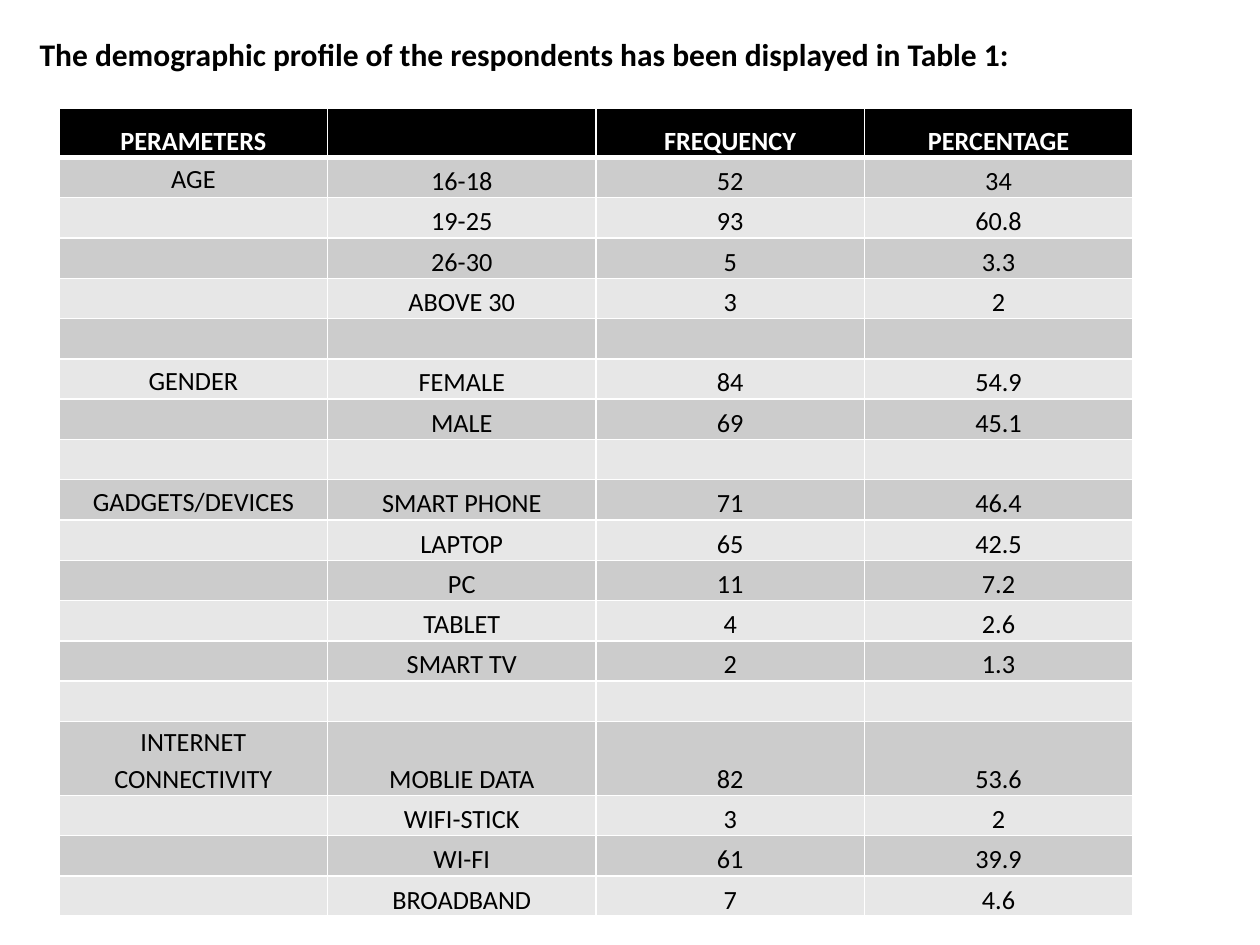
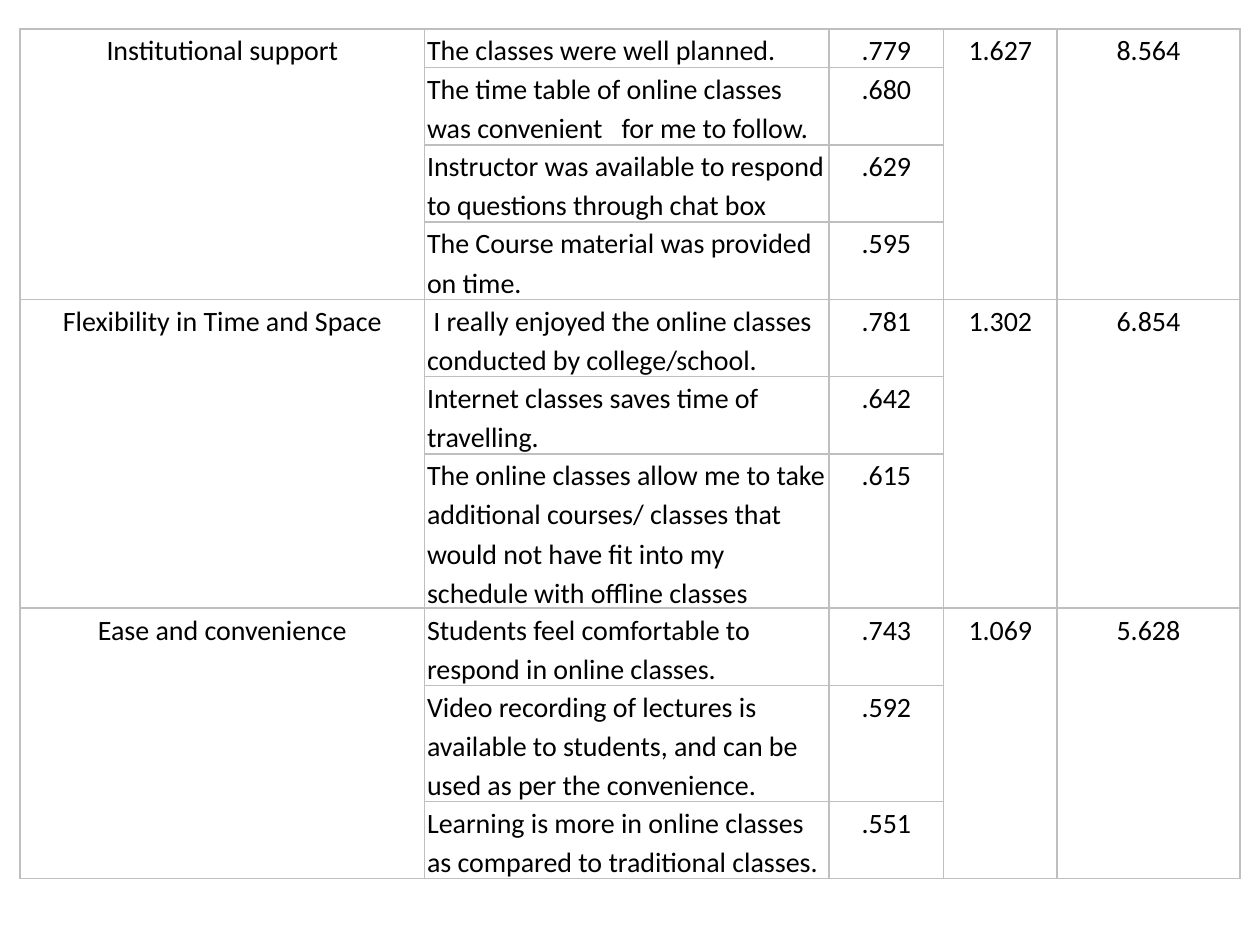
from lxml import etree
from pptx import Presentation
from pptx.dml.color import RGBColor
from pptx.enum import text
from pptx.oxml import ns
from pptx.util import Inches, Pt

FONT = "Calibri"
BLACK, WHITE = "000000", "FFFFFF"
BAND_DARK, BAND_LIGHT, GRID_GREY = "CCCCCC", "E7E7E7", "BFBFBF"
CENTER, LEFT = text.PP_ALIGN.CENTER, text.PP_ALIGN.LEFT
TOP, MIDDLE, BOTTOM = (text.MSO_ANCHOR.TOP, text.MSO_ANCHOR.MIDDLE,
                       text.MSO_ANCHOR.BOTTOM)

DEMOGRAPHICS = [
    ("AGE", [("16-18", "52", "34"), ("19-25", "93", "60.8"),
             ("26-30", "5", "3.3"), ("ABOVE 30", "3", "2")]),
    ("GENDER", [("FEMALE", "84", "54.9"), ("MALE", "69", "45.1")]),
    ("GADGETS/DEVICES", [("SMART PHONE", "71", "46.4"), ("LAPTOP", "65", "42.5"),
                         ("PC", "11", "7.2"), ("TABLET", "4", "2.6"),
                         ("SMART TV", "2", "1.3")]),
    ("INTERNET CONNECTIVITY", [("MOBLIE DATA", "82", "53.6"), ("WIFI-STICK", "3", "2"),
                               ("WI-FI", "61", "39.9"), ("BROADBAND", "7", "4.6")]),
]

# Factor, eigenvalue, variance, then (statement, loading, number of lines)
FACTORS = [
    ("Institutional support", "1.627", "8.564", [
        ("The classes were well planned.", ".779", 1),
        ("The time table of online classes was convenient   for me to follow.", ".680", 2),
        ("Instructor was available to respond to questions through chat box", ".629", 2),
        ("The Course material was provided on time.", ".595", 2)]),
    ("Flexibility in Time and Space", "1.302", "6.854", [
        (" I really enjoyed the online classes conducted by college/school.", ".781", 2),
        ("Internet classes saves time of travelling.", ".642", 2),
        ("The online classes allow me to take additional courses/ classes that would "
         "not have fit into my schedule with offline classes", ".615", 4)]),
    ("Ease and convenience", "1.069", "5.628", [
        ("Students feel comfortable to respond in online classes.", ".743", 2),
        ("Video recording of lectures is available to students, and can be used "
         "as per the convenience.", ".592", 3),
        ("Learning is more in online classes as compared to traditional classes.",
         ".551", 2)]),
]


def color(hex_string):
    return RGBColor.from_string(hex_string)


def write(frame, content, size=16, ink=BLACK, bold=False, align=LEFT, spacing=1.0):
    paragraph = frame.paragraphs[0]
    paragraph.alignment = align
    paragraph.line_spacing = spacing
    if not content:
        # An empty cell keeps the text size so that its row does not grow
        etree.SubElement(paragraph._p, ns.qn("a:endParaRPr"), sz=str(size * 100))
        return
    run = paragraph.add_run()
    run.text = content
    run.font.name, run.font.size, run.font.bold = FONT, Pt(size), bold
    run.font.color.rgb = color(ink)


def set_borders(cell, line_color, **widths):
    """Draw all four sides 1 pt wide, unless widths names a side (L, R, T, B)."""
    properties = cell._tc.get_or_add_tcPr()
    for side in "LRTB":
        line = etree.SubElement(properties, ns.qn(f"a:ln{side}"),
                                w=str(Pt(widths.get(side, 1))))
        fill = etree.SubElement(line, ns.qn("a:solidFill"))
        etree.SubElement(fill, ns.qn("a:srgbClr"), val=line_color)


class Deck:
    def __init__(self):
        self.presentation = Presentation()
        self.presentation.slide_width = Inches(10)
        self.presentation.slide_height = Inches(7.5)
        self.slide = None

    def add_slide(self):
        self.slide = self.presentation.slides.add_slide(self.presentation.slide_layouts[6])

    def add_title(self, content, left, top, width, height):
        box = self.slide.shapes.add_textbox(Inches(left), Inches(top),
                                            Inches(width), Inches(height))
        box.text_frame.word_wrap = True
        write(box.text_frame, content, size=18, bold=True)

    def add_table(self, left, top, height, widths, heights):
        frame = self.slide.shapes.add_table(
            len(heights), len(widths), Inches(left), Inches(top),
            Inches(sum(widths)), Inches(height))
        table = frame.table
        table.first_row = table.horz_banding = False
        for column, width in zip(table.columns, widths):
            column.width = Inches(width)
        for row, row_height in zip(table.rows, heights):
            row.height = Inches(row_height)
        frame.height = Inches(height)
        return table

    def fill_cell(self, cell, content, line_color, fill=None, inset=0.02,
                  anchor=TOP, borders=None, **text_format):
        cell.margin_left = cell.margin_right = Inches(inset)
        cell.margin_top = cell.margin_bottom = 0
        cell.vertical_anchor = anchor
        set_borders(cell, line_color, **(borders or {}))
        if fill:
            cell.fill.solid()
            cell.fill.fore_color.rgb = color(fill)
        else:
            cell.fill.background()
        write(cell.text_frame, content, spacing=1.15, **text_format)


def build_demographics(deck):
    deck.add_slide()
    rows = [("PERAMETERS", "", "FREQUENCY", "PERCENTAGE")]
    for index, (parameter, groups) in enumerate(DEMOGRAPHICS):
        if index:
            rows.append(("",) * 4)
        for position, group in enumerate(groups):
            rows.append(("" if position else parameter, *group))

    table = deck.add_table(0.47, 0.86, 6.43, [2.13] * 4,
                           [0.39] + [0.32] * (len(rows) - 1))
    for r, values in enumerate(rows):
        header = r == 0
        fill = BLACK if header else BAND_DARK if r % 2 else BAND_LIGHT
        borders = {"B": 3} if header else {"T": 3} if r == 1 else None
        for c, value in enumerate(values):
            anchor = MIDDLE if c == 0 and not header else BOTTOM
            deck.fill_cell(table.cell(r, c), value, WHITE, fill=fill, inset=0.07,
                           anchor=anchor, borders=borders, size=15, bold=header,
                           ink=WHITE if header else BLACK, align=CENTER)
    deck.add_title(" The demographic profile of the respondents has been displayed "
                   "in Table 1:", 0.16, 0.23, 8.98, 0.4)


def build_factors(deck):
    deck.add_slide()
    rows, spans = [], []
    for factor, eigenvalue, variance, items in FACTORS:
        spans.append((len(rows), len(rows) + len(items) - 1))
        for position, (statement, loading, _) in enumerate(items):
            shared = ("", "", "") if position else (factor, eigenvalue, variance)
            rows.append((shared[0], statement, loading, *shared[1:]))

    heights = [0.26 * lines for *_, items in FACTORS for _, _, lines in items]
    table = deck.add_table(0.16, 0.23, 6.75, [3.21, 3.21, 0.91, 0.9, 1.45], heights)
    for r, values in enumerate(rows):
        for c, value in enumerate(values):
            deck.fill_cell(table.cell(r, c), value, GRID_GREY,
                           align=LEFT if c == 1 else CENTER)
    for first, last in spans:
        for c in (0, 3, 4):
            table.cell(first, c).merge(table.cell(last, c))


def main():
    deck = Deck()
    build_demographics(deck)
    build_factors(deck)
    deck.presentation.save("out.pptx")


if __name__ == "__main__":
    main()
